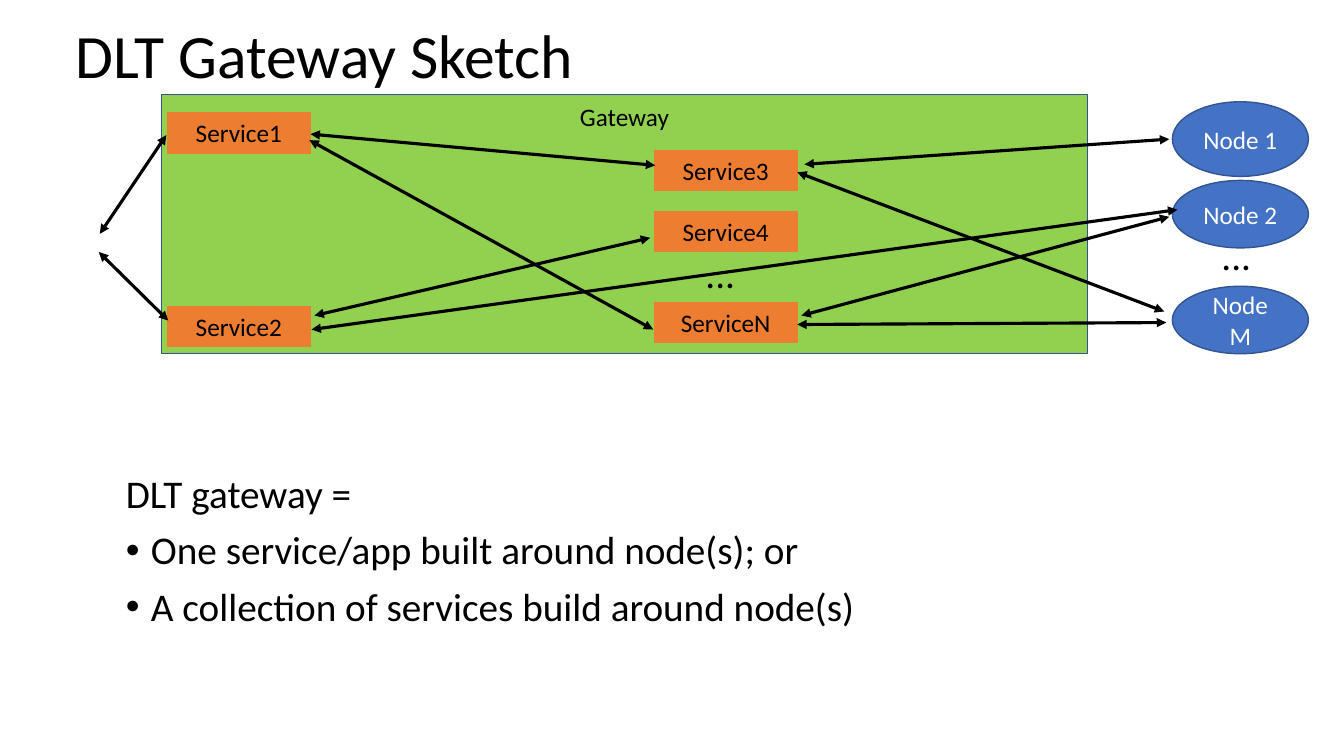
from lxml.etree import SubElement
from pptx import Presentation
from pptx.dml.color import RGBColor
from pptx.enum.shapes import MSO_CONNECTOR as CONN, MSO_SHAPE as SHAPE
from pptx.enum.text import MSO_ANCHOR as ANCHOR, PP_ALIGN as ALIGN
from pptx.oxml.ns import qn
from pptx.util import Pt

# Content
TITLE = "DLT Gateway Sketch"
DEFINITION = [  # text, bulleted
    ("DLT gateway =", False),
    ("One service/app built around node(s); or", True),
    ("A collection of services build around node(s)", True),
]
GATEWAY = ("Gateway", (115.2, 67.7, 661.7, 185))
SERVICE_COLUMNS = {  # left edge: (name, top)
    119.5: [("Service1", 80.6), ("Service2", 218.9)],
    467.3: [("Service3", 107.3), ("Service4", 151.2), ("ServiceN", 216)],
}
NODES = [("Node 1", 72.7, 53.3), ("Node 2", 128.9, 48.2),
         ("Node M", 204.5, 48.2)]  # name, top, height
ELLIPSES = [(496.8, 178.6), (865.4, 165.6)]
LINKS = [  # from x, y, to x, y
    (835.2, 99.4, 574.6, 117.4),    # Node 1 - Service3
    (468, 118.1, 221.8, 95.8),      # Service3 - Service1
    (466.6, 235.4, 221, 100.1),     # ServiceN - Service1
    (831.6, 222.5, 569.5, 123.1),   # Node M - Service3
    (464.4, 169.9, 224.6, 225.4),   # Service4 - Service2
    (841, 149.8, 222.5, 235.4),     # Node 2 - Service2
    (833, 230.4, 569.5, 231.8),     # Node M - ServiceN
    (835.2, 154.8, 572.4, 225.4),   # Node 2 - ServiceN
    (118.8, 96.5, 71.3, 167),       # Service1 - clients
    (120.2, 229, 70.6, 180),        # Service2 - clients
]

# Theme and layout
THEME = {
    "font": "Calibri", "text": "000000", "node_text": "FFFFFF",
    "gateway": "92D050", "service": "ED7D31", "node": "4472C4",
    "outline": "325491", "title": 44, "body": 28, "label": 18,
}
SERVICE_W, SERVICE_H = 102.2, 28.8
NODE_X, NODE_W = 837.4, 97.2
BULLET_INDENT = 18

prs = Presentation()
prs.slide_width, prs.slide_height = Pt(960), Pt(540)
slide = prs.slides.add_slide(prs.slide_layouts[6])


def write(p, text, size, color="text", **fmt):
    r = p.add_run()
    r.text = text
    r.font.color.rgb = RGBColor.from_string(THEME[color])
    for name, value in {"name": THEME["font"], "size": Pt(THEME[size])}.items():
        setattr(r.font, name, value)
    for name, value in fmt.items():
        setattr(p, name, value)


def add_block(kind, box, label, fill, outline, weight, color="text", **frame):
    sp = slide.shapes.add_shape(kind, *map(Pt, box))
    sp.shadow.inherit = False
    sp.fill.solid()
    sp.fill.fore_color.rgb = RGBColor.from_string(THEME[fill])
    sp.line.color.rgb = RGBColor.from_string(THEME[outline])
    sp.line.width = Pt(weight)
    tf = sp.text_frame
    for name, value in {"word_wrap": True, **frame}.items():
        setattr(tf, name, value)
    write(tf.paragraphs[0], label, "label", color, alignment=ALIGN.CENTER)


def add_text(box, lines, size, anchor=ANCHOR.TOP, before=10):
    tf = slide.shapes.add_textbox(*map(Pt, box)).text_frame
    tf.word_wrap, tf.vertical_anchor = True, anchor
    for i, (text, bulleted) in enumerate(lines):
        p = tf.add_paragraph() if i else tf.paragraphs[0]
        write(p, text, size, line_spacing=0.9, space_before=Pt(before))
        if bulleted:
            pPr = p._p.get_or_add_pPr()
            pPr.set("marL", str(Pt(BULLET_INDENT)))
            pPr.set("indent", str(-Pt(BULLET_INDENT)))
            SubElement(pPr, qn("a:buFont"), typeface="Arial")
            SubElement(pPr, qn("a:buChar"), char="•")


def add_link(ends):
    line = slide.shapes.add_connector(CONN.STRAIGHT, *map(Pt, ends))
    line.line.color.rgb = RGBColor.from_string(THEME["text"])
    line.line.width = Pt(2.25)
    ln = line.line._get_or_add_ln()
    for end in ("a:headEnd", "a:tailEnd"):
        SubElement(ln, qn(end), type="triangle")
    SubElement(line._element.spPr, qn("a:effectLst"))


# Gateway and title
label, box = GATEWAY
add_block(SHAPE.RECTANGLE, box, label, "gateway", "outline", 1,
          vertical_anchor=ANCHOR.TOP, margin_top=Pt(4.6))
add_text((46.8, -10.1, 828, 104.4), [(TITLE, False)], "title", ANCHOR.MIDDLE, 0)

# Services
for x, services in SERVICE_COLUMNS.items():
    for name, y in services:
        add_block(SHAPE.RECTANGLE, (x, y, SERVICE_W, SERVICE_H), name,
                  "service", "service", 0.75, vertical_anchor=ANCHOR.TOP)

# Nodes
for name, y, h in NODES:
    add_block(SHAPE.OVAL, (NODE_X, y, NODE_W, h), name, "node", "outline", 1,
              "node_text", vertical_anchor=ANCHOR.MIDDLE)

# Ellipses, links and definition
for x, y in ELLIPSES:
    add_text((x, y, 54, 74.2), [("...", False)], "body")
for ends in LINKS:
    add_link(ends)
add_text((82.8, 335.5, 828, 342.7), DEFINITION, "body")

prs.save("out.pptx")
